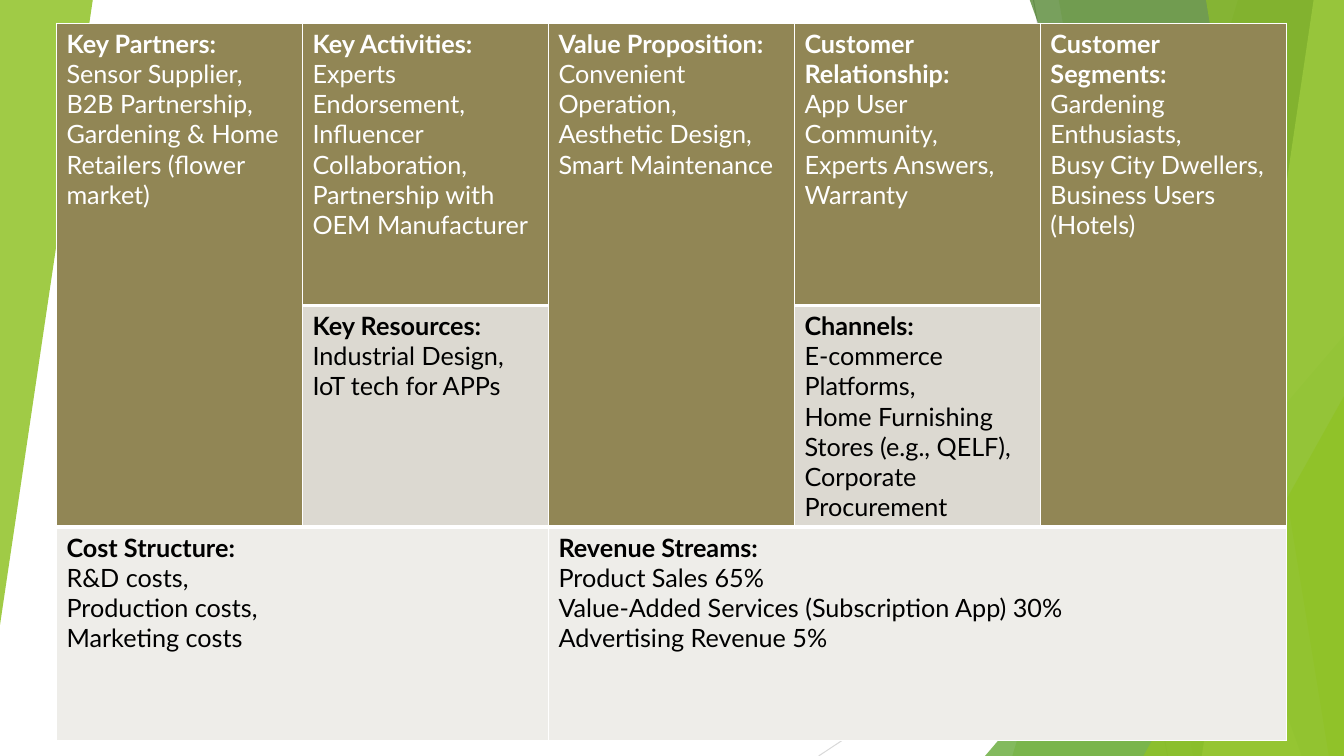
from lxml import etree
from pptx import Presentation
from pptx import util as u
from pptx.dml.color import RGBColor
from pptx.enum import shapes, text
from pptx.oxml import ns

COLORS = {
    "white": "FFFFFF", "black": "000000", "grey": "BFBFBF", "pale_grey": "D9D9D9",
    "green": "90C226", "leaf": "54A021", "forest": "3F7819", "lime": "C0E474",
    "olive": "918655", "sand": "DCD9D1", "linen": "EEEDE9",
}
WIDTH, HEIGHT = 13.33, 7.5
TOP = -0.01

# Right-hand bands: top-left x, bottom-left x, colour, opacity in percent
BACK_BANDS = [(12.28, 10.04, "green", 30), (10.5, 11.83, "green", 20)]
FRONT_BANDS = [(10.21, 12.91, "forest", 70), (13.03, 11.92, "lime", 70),
               (11.96, 13.18, "green", 65)]

# Canvas blocks: row, column, rows spanned, columns spanned, fill, ink, heading, items
BLOCKS = [
    (0, 0, 2, 1, "olive", "white", "Key Partners:",
     ["Sensor Supplier,", "B2B Partnership,", "Gardening & Home Retailers (flower market)"]),
    (0, 1, 1, 1, "olive", "white", "Key Activities:",
     ["Experts Endorsement,", "Influencer Collaboration,",
      "Partnership with OEM Manufacturer"]),
    (0, 2, 2, 1, "olive", "white", "Value Proposition:",
     ["Convenient Operation,", "Aesthetic Design,", "Smart Maintenance"]),
    (0, 3, 1, 1, "olive", "white", "Customer Relationship:",
     ["App User Community,", "Experts Answers,", "Warranty"]),
    (0, 4, 2, 1, "olive", "white", "Customer Segments:",
     ["Gardening Enthusiasts,", "Busy City Dwellers,", "Business Users (Hotels)"]),
    (1, 1, 1, 1, "sand", "black", "Key Resources:",
     ["Industrial Design,", "IoT tech for APPs"]),
    (1, 3, 1, 1, "sand", "black", "Channels:",
     ["E-commerce Platforms,", "Home Furnishing Stores (e.g., QELF),",
      "Corporate Procurement"]),
    (2, 0, 1, 2, "linen", "black", "Cost Structure:",
     ["R&D costs,", "Production costs,", "Marketing costs"]),
    (2, 2, 1, 3, "linen", "black", "Revenue Streams:",
     ["Product Sales 65%", "Value-Added Services (Subscription App) 30%",
      "Advertising Revenue 5%"]),
]


def rgb(color):
    return RGBColor.from_string(COLORS[color])


def write(paragraph, words, color="black", bold=False, size=18, font="Lato"):
    run = paragraph.add_run()
    run.text = words
    run.font.name = font
    run.font.size = u.Pt(size)
    run.font.bold = bold
    run.font.color.rgb = rgb(color)


class Canvas:
    def __init__(self, slide, border="white", thin=1, thick=3):
        self.slide = slide
        self.border, self.thin, self.thick = border, thin, thick

    def line(self, start, end, color):
        ray = self.slide.shapes.add_connector(
            shapes.MSO_CONNECTOR.STRAIGHT, *map(u.Inches, start + end))
        ray.line.color.rgb = rgb(color)
        ray.line.width = u.Pt(0.75)
        etree.SubElement(ray._element.spPr, ns.qn("a:effectLst"))

    def paint(self, shape, color, opacity):
        shape.shadow.inherit = False
        shape.line.fill.background()
        shape.fill.solid()
        shape.fill.fore_color.rgb = rgb(color)
        tint = shape._element.spPr.find(".//" + ns.qn("a:srgbClr"))
        etree.SubElement(tint, ns.qn("a:alpha"), val=str(opacity * 1000))

    def band(self, top_x, bottom_x, color, opacity):
        corners = [(WIDTH, TOP), (WIDTH, HEIGHT), (bottom_x, HEIGHT)]
        outline = self.slide.shapes.build_freeform(u.Inches(top_x), u.Inches(TOP))
        outline.add_line_segments([(u.Inches(x), u.Inches(y)) for x, y in corners])
        self.paint(outline.convert_to_shape(), color, opacity)

    def triangle(self, box, color, opacity, rotation=0):
        wedge = self.slide.shapes.add_shape(
            shapes.MSO_SHAPE.ISOSCELES_TRIANGLE, *map(u.Inches, box))
        wedge.adjustments[0] = 1
        wedge.rotation = rotation
        self.paint(wedge, color, opacity)

    def table(self, left, top, widths, heights):
        frame = self.slide.shapes.add_table(
            len(heights), len(widths), u.Inches(left), u.Inches(top),
            u.Inches(sum(widths)), u.Inches(sum(heights)))
        for column, width in zip(frame.table.columns, widths):
            column.width = u.Inches(width)
        for row, height in zip(frame.table.rows, heights):
            row.height = u.Inches(height)
        return frame.table

    def edges(self, cell, above, below):
        props = cell._tc.get_or_add_tcPr()
        sides = [("lnL", self.thin), ("lnR", self.thin), ("lnT", above), ("lnB", below)]
        for place, (side, points) in enumerate(sides):
            edge = etree.Element(ns.qn("a:" + side), w=str(u.Pt(points)))
            fill = etree.SubElement(edge, ns.qn("a:solidFill"))
            etree.SubElement(fill, ns.qn("a:srgbClr"), val=COLORS[self.border])
            props.insert(place, edge)

    def block(self, table, row, col, rows, cols, fill, ink, heading, items):
        cell = table.cell(row, col)
        if rows * cols > 1:
            cell.merge(table.cell(row + rows - 1, col + cols - 1))
        cell.fill.solid()
        cell.fill.fore_color.rgb = rgb(fill)
        cell.vertical_anchor = text.MSO_ANCHOR.TOP
        # Lines between rows are thick, the outer frame is thin
        self.edges(cell, self.thick if row else self.thin,
                   self.thick if row + rows < len(table.rows) else self.thin)
        frame = cell.text_frame
        write(frame.paragraphs[0], heading, color=ink, bold=True)
        for item in items:
            write(frame.add_paragraph(), item, color=ink)


def main():
    deck = Presentation()
    deck.slide_width, deck.slide_height = u.Inches(WIDTH), u.Inches(HEIGHT)
    canvas = Canvas(deck.slides.add_slide(deck.slide_layouts[6]))

    # Green facets behind the table
    canvas.line((10.25, 0), (11.58, HEIGHT), "grey")
    canvas.line((WIDTH, 4.03), (8.12, HEIGHT), "pale_grey")
    for band in BACK_BANDS:
        canvas.band(*band)
    canvas.triangle((9.77, 3.33, 3.56, 4.17), "leaf", 72)
    for band in FRONT_BANDS:
        canvas.band(*band)
    canvas.triangle((11.34, 3.93, 1.99, 3.57), "green", 80)
    canvas.triangle((0, 0, 0.92, 6.2), "green", 85, rotation=180)

    # Business model table
    business_model = canvas.table(0.56, 0.23, [2.44] * 5, [2.8, 2.2, 2.12])
    for block in BLOCKS:
        canvas.block(business_model, *block)

    deck.save("out.pptx")


if __name__ == "__main__":
    main()
